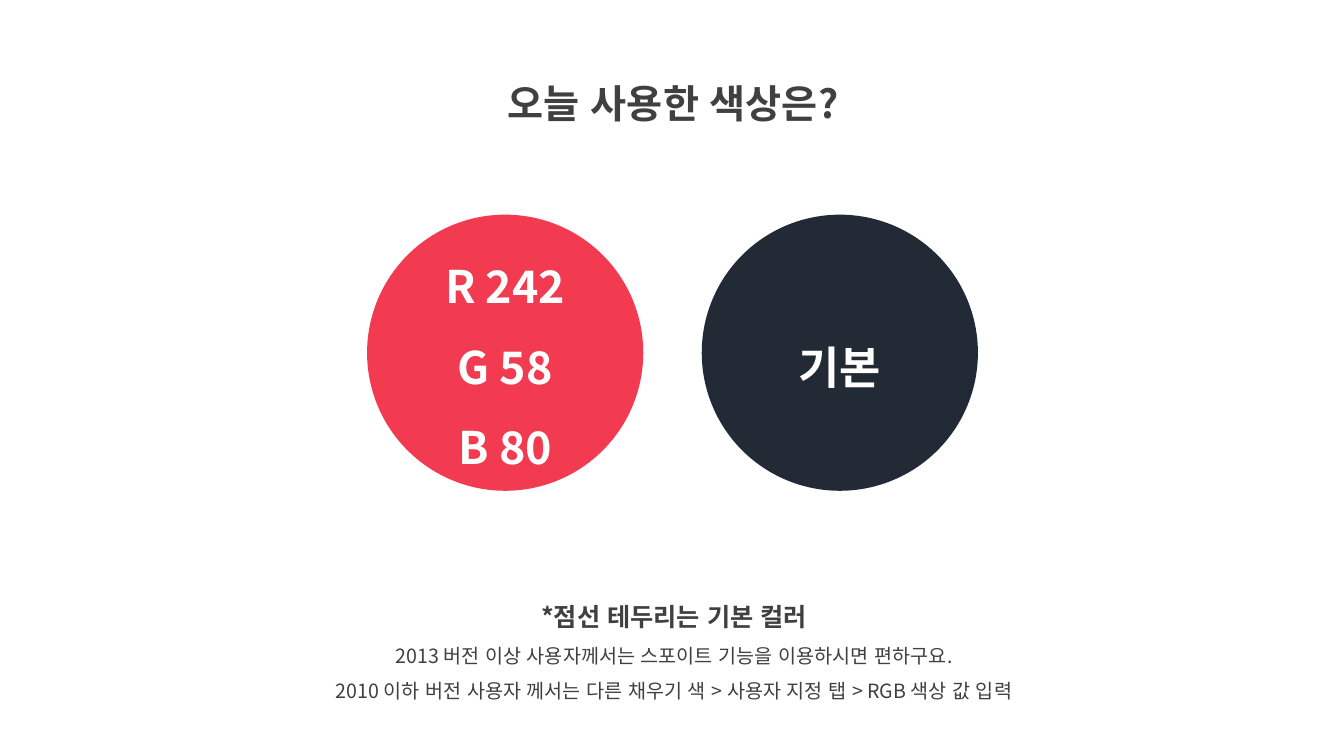
from dataclasses import dataclass

from lxml.etree import SubElement
from pptx import Presentation
from pptx.dml.color import RGBColor as RGB
from pptx.enum.lang import MSO_LANGUAGE_ID as LANG
from pptx.enum.shapes import MSO_SHAPE as SHAPE
from pptx.enum.text import MSO_ANCHOR as ANCHOR, MSO_AUTO_SIZE as AUTO, PP_ALIGN as ALIGN
from pptx.oxml.ns import qn
from pptx.util import Inches, Pt


@dataclass(frozen=True)
class Theme:
    font: str = "Noto Sans CJK KR"
    ink: str = "404040"
    white: str = "FFFFFF"
    red: str = "F23A50"
    navy: str = "222A35"
    title: int = 28
    swatch: int = 32
    heading: int = 18
    body: int = 14
    spacing: float = 1.5


class Deck:
    """Draws styled elements on one slide, placed in percent of its size."""

    def __init__(self, theme):
        self.t = theme
        self.prs = Presentation()
        self.prs.slide_width, self.prs.slide_height = Inches(13.33), Inches(7.5)
        self.s = self.prs.slides.add_slide(self.prs.slide_layouts[6])

    def x(self, share):
        return round(self.prs.slide_width * share / 100)

    def y(self, share):
        return round(self.prs.slide_height * share / 100)

    def add_lines(self, tf, lines, color):
        tf.word_wrap = True
        for i, (text, size, bold) in enumerate(lines):
            p = tf.add_paragraph() if i else tf.paragraphs[0]
            p.alignment, p.line_spacing = ALIGN.CENTER, self.t.spacing
            r = p.add_run()
            r.text = text
            f = r.font
            f.name, f.size, f.bold = self.t.font, Pt(size), bold
            f.language_id = LANG.KOREAN
            f.color.rgb = RGB.from_string(color)
            SubElement(r._r.rPr, qn("a:ea"), typeface=self.t.font)

    def text(self, center, top, width, height, lines):
        box = self.s.shapes.add_textbox(
            self.x(center - width / 2), self.y(top), self.x(width), self.y(height))
        self.add_lines(box.text_frame, lines, self.t.ink)
        box.text_frame.auto_size = AUTO.SHAPE_TO_FIT_TEXT

    def swatch(self, center, top, diameter, fill, labels):
        d = self.x(diameter)
        sp = self.s.shapes.add_shape(
            SHAPE.OVAL, self.x(center - diameter / 2), self.y(top), d, d)
        sp.shadow.inherit = False
        sp.fill.solid()
        sp.fill.fore_color.rgb = RGB.from_string(fill)
        sp.line.fill.background()
        sp.text_frame.vertical_anchor = ANCHOR.MIDDLE
        self.add_lines(sp.text_frame, [(label, self.t.swatch, True) for label in labels], self.t.white)


def main():
    t = Theme()
    deck = Deck(t)
    deck.text(50.08, 6.67, 34.73, 9.6, [("오늘 사용한 색상은?", t.title, True)])
    deck.text(50.15, 76.93, 59.94, 16.8, [
        ("*점선 테두리는 기본 컬러", t.heading, True),
        ("2013 버전 이상 사용자께서는 스포이트 기능을 이용하시면 편하구요.", t.body, False),
        ("2010 이하 버전 사용자 께서는 다른 채우기 색 > 사용자 지정 탭 > RGB 색상 값 입력", t.body, False),
    ])
    swatches = [(1, t.navy, ["기본"]), (-1, t.red, ["R 242", "G 58", "B 80"])]
    for side, fill, labels in swatches:
        deck.swatch(50.04 + side * 12.45, 28.4, 20.55, fill, labels)
    deck.prs.save("out.pptx")


if __name__ == "__main__":
    main()
